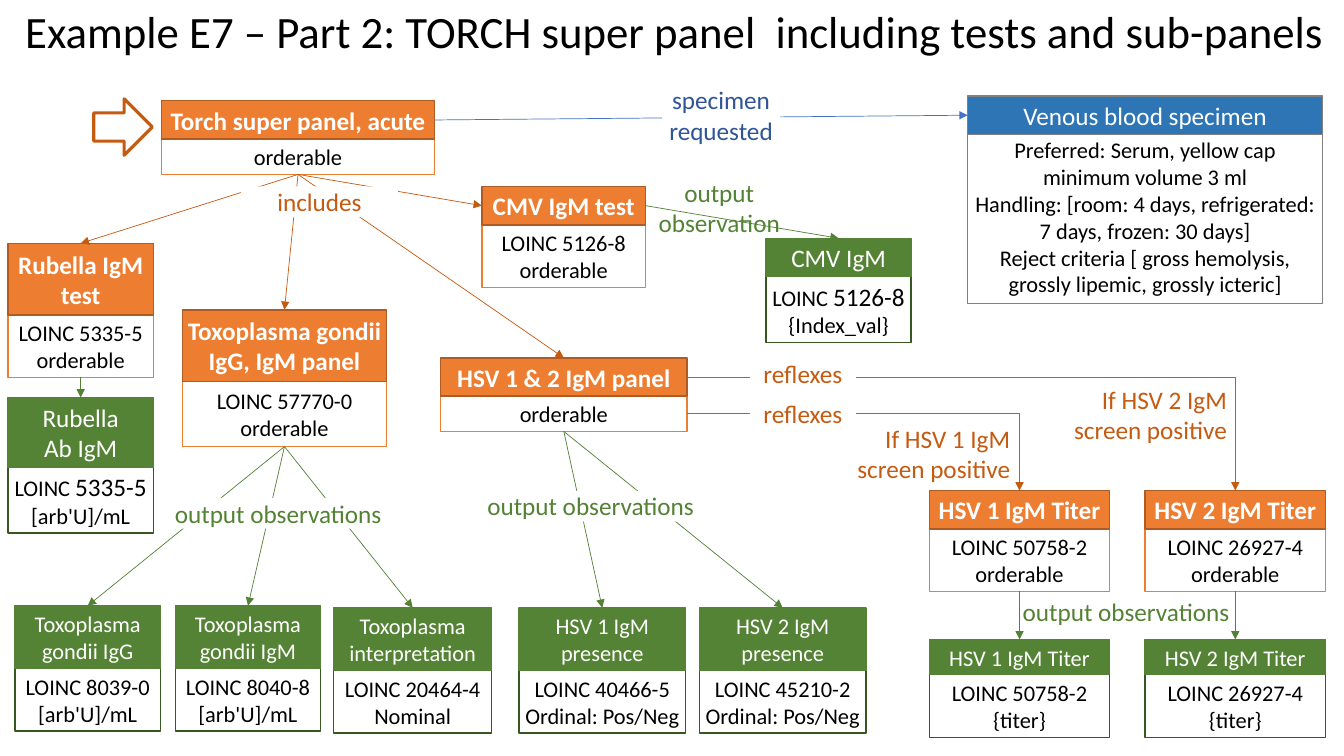
from collections import namedtuple

from lxml import etree
from pptx import Presentation
from pptx.dml.color import RGBColor
from pptx.enum import shapes, text
from pptx.oxml import ns
from pptx.util import Pt

ORANGE, RUST, GREEN, BLUE = "ED7D31", "C55A11", "548235", "4472C4"
WHITE, BLACK = "FFFFFF", "000000"
TOP, LEFT, BOTTOM, RIGHT = range(4)

Look = namedtuple("Look", "fill head_line body_line bold")
ORDER = Look(ORANGE, "AF5C24", ORANGE, True)
RESULT = Look("558335", GREEN, "385723", False)
SPECIMEN = Look("2E75B6", "808080", "808080", False)
Card = namedtuple("Card", "head body")

# Heights of boxes by line count and text size
ONE_16, TWO_16, ONE_18, TWO_18, MIXED = 25.2, 44.7, 27.4, 51.1, 47


def color(value):
    return RGBColor.from_string(value)


class Diagram:
    font = "Calibri"
    inset = 2.88

    def __init__(self, presentation):
        self.slide = presentation.slides.add_slide(presentation.slide_layouts[5])
        self.shapes = self.slide.shapes

    def set_text(self, shape, content, size, ink, bold=False,
                 align=text.PP_ALIGN.CENTER, margins=(inset, inset)):
        frame = shape.text_frame
        frame.text = content
        frame.word_wrap = True
        frame.auto_size = text.MSO_AUTO_SIZE.NONE
        frame.margin_left = frame.margin_right = Pt(margins[0])
        frame.margin_top = frame.margin_bottom = Pt(margins[1])
        for paragraph in frame.paragraphs:
            paragraph.alignment = align
            for run in paragraph.runs:
                self.style_run(run, size, ink, bold)

    def style_run(self, run, size, ink, bold=False):
        run.font.name = self.font
        run.font.size = Pt(size)
        run.font.bold = bold
        run.font.color.rgb = color(ink)

    def title(self, content, left, top, width, height):
        title = self.shapes.title
        title.left, title.top = Pt(left), Pt(top)
        title.width, title.height = Pt(width), Pt(height)
        self.set_text(title, content, 32, BLACK, align=text.PP_ALIGN.LEFT,
                      margins=(7.2, 3.6))
        title.text_frame.vertical_anchor = text.MSO_ANCHOR.BOTTOM
        title.text_frame.paragraphs[0].line_spacing = 0.8

    def shape(self, kind, left, top, width, height, fill, line, weight=1):
        shape = self.shapes.add_shape(kind, Pt(left), Pt(top), Pt(width), Pt(height))
        shape.shadow.inherit = False
        if fill:
            shape.fill.solid()
            shape.fill.fore_color.rgb = color(fill)
        else:
            shape.fill.background()
        shape.line.color.rgb = color(line)
        shape.line.width = Pt(weight)
        return shape

    def card(self, look, left, top, width, heading, details, head_height,
             body_height=TWO_16, size=18, code=None, overlap=0):
        """Heading box over a details box; code is a larger end of the first detail."""
        box = shapes.MSO_SHAPE.RECTANGLE
        body = self.shape(box, left, top + head_height - overlap, width,
                          body_height, WHITE, look.body_line)
        self.set_text(body, details, 16, BLACK)
        if code:
            run = body.text_frame.paragraphs[0].add_run()
            run.text = code
            self.style_run(run, 18, BLACK)
        head = self.shape(box, left, top, width, head_height, look.fill, look.head_line)
        self.set_text(head, heading, size, WHITE, look.bold)
        return Card(head, body)

    def label(self, content, left, top, width, height, ink, fill=WHITE, side=7.2,
              align=text.PP_ALIGN.CENTER):
        label = self.shapes.add_textbox(Pt(left), Pt(top), Pt(width), Pt(height))
        if fill:
            label.fill.solid()
            label.fill.fore_color.rgb = color(fill)
        self.set_text(label, content, 18, ink, align=align, margins=(side, 0))

    def connector(self, kind, ink, start=(0, 0)):
        x, y = start
        connector = self.shapes.add_connector(kind, Pt(x), Pt(y), Pt(x), Pt(y))
        connector.line.color.rgb = color(ink)
        connector.line.width = Pt(0.5)
        properties = connector._element.spPr
        line = properties.find(ns.qn("a:ln"))
        etree.SubElement(line, ns.qn("a:tailEnd"), type="triangle")
        etree.SubElement(properties, ns.qn("a:effectLst"))
        return connector

    def link(self, source, target, ink, source_side=BOTTOM, target_side=TOP):
        connector = self.connector(shapes.MSO_CONNECTOR.STRAIGHT, ink)
        connector.begin_connect(source, source_side)
        connector.end_connect(target, target_side)

    def elbow(self, start, target, ink):
        """Arrow that runs right from start, then down onto the target."""
        connector = self.connector(shapes.MSO_CONNECTOR.ELBOW, ink, start)
        connector.end_connect(target, TOP)
        geometry = connector._element.spPr.find(ns.qn("a:prstGeom"))
        geometry.set("prst", "bentConnector2")


def build(diagram):
    card, label, link = diagram.card, diagram.label, diagram.link
    diagram.title("Example E7 – Part 2: TORCH super panel  including tests and sub-panels",
                  10.8, 3.6, 949, 41)
    diagram.shape(shapes.MSO_SHAPE.RIGHT_ARROW, 67, 70.6, 41.8, 40.3, None, RUST, 2.25)

    # Orders and the specimen
    torch = card(ORDER, 115.2, 72, 195.4, "Torch super panel, acute", "orderable",
                 ONE_18, ONE_16)
    specimen = card(SPECIMEN, 691.2, 68.6, 253.6, "Venous blood specimen",
                    "Preferred: Serum, yellow cap\nminimum volume 3 ml\n"
                    "Handling: [room: 4 days, refrigerated: 7 days, frozen: 30 days]\n"
                    "Reject criteria [ gross hemolysis, grossly lipemic, grossly icteric]",
                    ONE_18, 123.8, overlap=3)
    rubella = card(ORDER, 5.8, 173.8, 103.7, "Rubella IgM test",
                   "LOINC 5335-5\norderable", TWO_18)
    toxoplasma = card(ORDER, 130.5, 221.3, 145.4, "Toxoplasma gondii IgG, IgM panel",
                      "LOINC 57770-0\norderable", TWO_18, 46.6)
    cmv = card(ORDER, 344.2, 133.2, 116.9, "CMV IgM test",
               "LOINC 5126-8\norderable", ONE_18)
    hsv = card(ORDER, 314.8, 255.6, 175.9, "HSV 1 & 2 IgM panel", "orderable",
               ONE_18, ONE_16)

    # Results
    rubella_result = card(RESULT, 5.8, 283.9, 103.7, "Rubella\nAb IgM",
                          "LOINC \n[arb'U]/mL", 50, MIXED, code="5335-5")
    cmv_result = card(RESULT, 547.2, 170.2, 103.7, "CMV IgM",
                      "LOINC \n{Index_val}", ONE_18, MIXED, code="5126-8")
    panel_results = [
        (toxoplasma, 10.8, 432.7, 103.7, "Toxoplasma gondii IgG", "LOINC 8039-0\n[arb'U]/mL"),
        (toxoplasma, 125.3, 432.7, 103.7, "Toxoplasma gondii IgM", "LOINC 8040-8\n[arb'U]/mL"),
        (toxoplasma, 238.3, 434.2, 113, "Toxoplasma interpretation", "LOINC 20464-4\nNominal"),
        (hsv, 370.8, 434.2, 118.8, "HSV 1 IgM presence", "LOINC 40466-5\nOrdinal: Pos/Neg"),
        (hsv, 499.7, 434.2, 118.8, "HSV 2 IgM presence", "LOINC 45210-2\nOrdinal: Pos/Neg"),
    ]
    for panel, left, top, width, heading, details in panel_results:
        result = card(RESULT, left, top, width, heading, details, TWO_16, size=16)
        link(panel.body, result.head, GREEN)

    # Reflex titers
    titers = [
        ("HSV 1", "50758-2", 663.8, 295.2, 599.8, 302.4),
        ("HSV 2", "26927-4", 817.9, 269.3, 754.6, 274.3),
    ]
    for virus, code, left, branch_top, note_left, note_top in titers:
        heading = f"{virus} IgM Titer"
        titer = card(ORDER, left, 350.4, 128.9, heading, f"LOINC {code}\norderable", ONE_18)
        result = card(RESULT, left, 456.8, 128.9, heading, f"LOINC {code}\n{{titer}}",
                      ONE_16, size=16)
        link(titer.body, result.head, GREEN)
        diagram.elbow((490.7, branch_top), titer.head, RUST)
        label(f"If {virus} IgM screen positive", note_left, note_top, 128.9, 44, RUST,
              fill=None, align=text.PP_ALIGN.RIGHT)

    link(torch.head, specimen.head, BLUE, RIGHT, LEFT)
    for test in (rubella, toxoplasma, hsv):
        link(torch.body, test.head, RUST)
    link(torch.body, cmv.head, RUST, target_side=LEFT)
    link(rubella.body, rubella_result.head, GREEN)
    link(cmv.head, cmv_result.head, GREEN, RIGHT)

    label("specimen requested", 473, 60.5, 84.2, 44, "2F5597", side=0)
    label("includes", 172.1, 133.2, 112.3, 22, RUST)
    label("output observation", 463, 126.7, 101.5, 44, GREEN, fill=None)
    for top in (255.6, 284.8):
        label("reflexes", 535.7, top, 75.6, 22, RUST)
    for left, top, fill in ((113, 355.7, WHITE), (336.2, 350.6, WHITE), (718.6, 426.2, None)):
        label("output observations", left, top, 171.4, 22, GREEN, fill)


def main():
    presentation = Presentation()
    presentation.slide_width, presentation.slide_height = Pt(960), Pt(540)
    build(Diagram(presentation))
    presentation.save("out.pptx")


if __name__ == "__main__":
    main()
